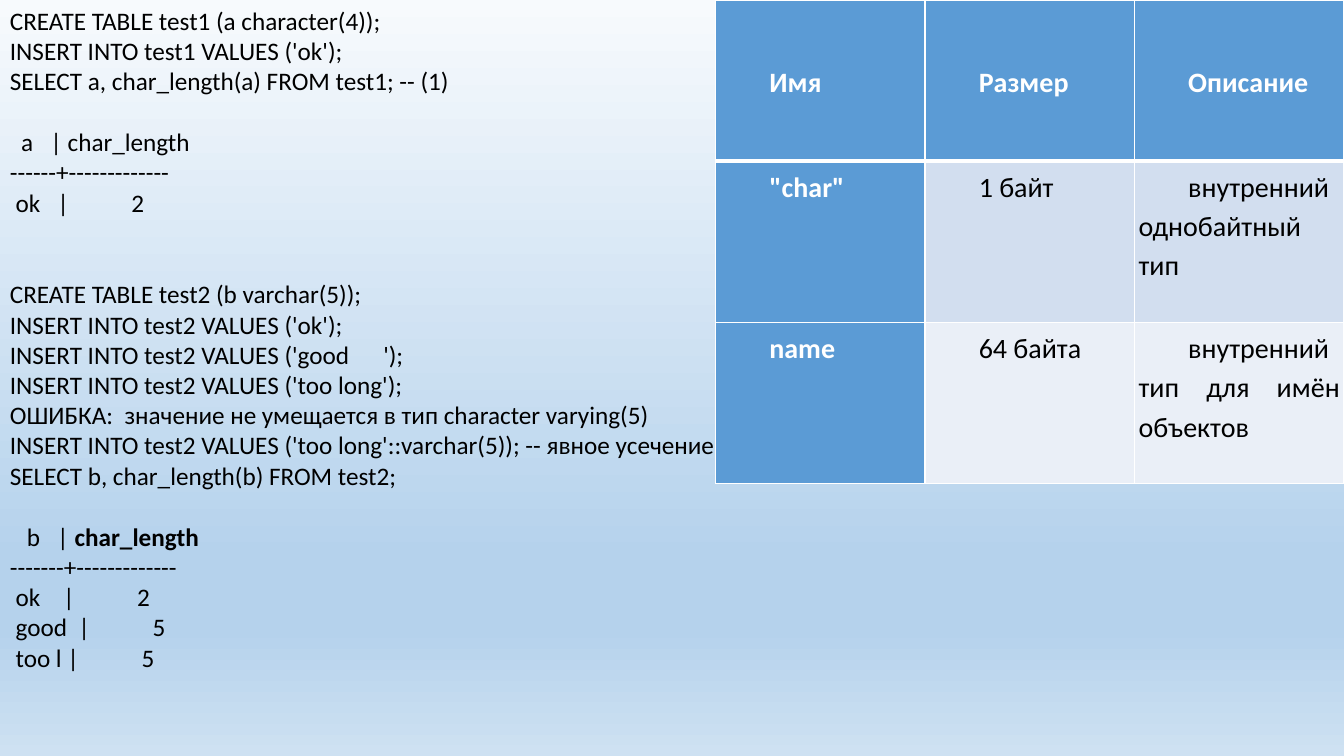
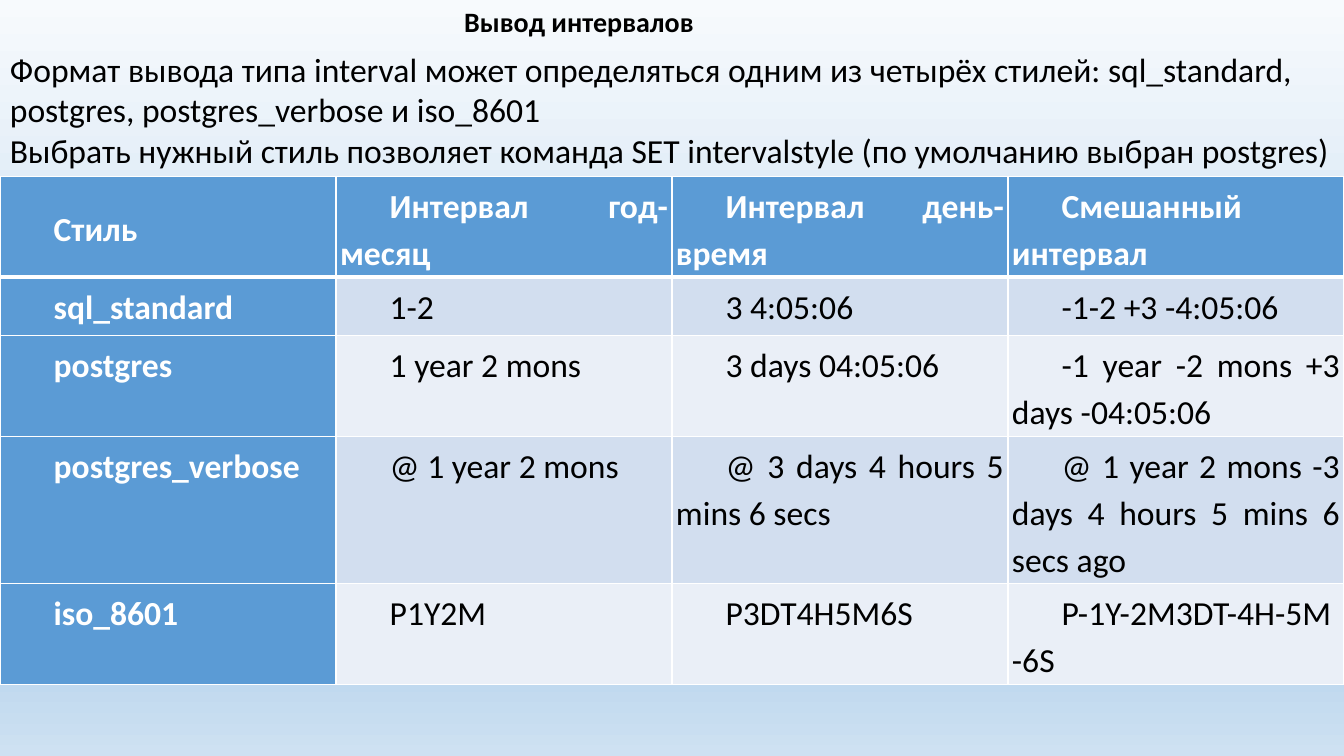
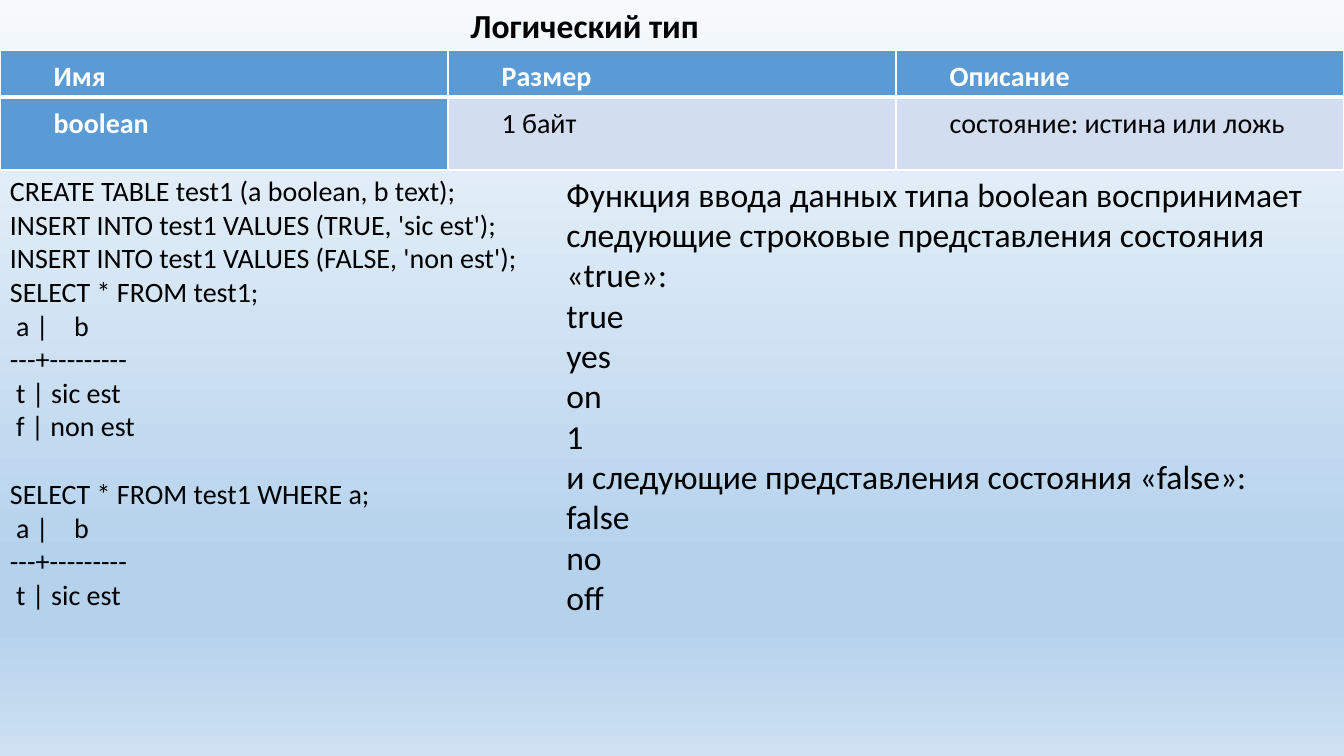
from lxml import etree
from pptx import Presentation
from pptx.dml.color import RGBColor
from pptx.enum.text import MSO_ANCHOR, MSO_AUTO_SIZE, PP_ALIGN
from pptx.oxml.ns import qn
from pptx.util import Pt

# Shared style
SLIDE_WIDTH, SLIDE_HEIGHT = 960, 540
FONT = "Calibri"
LINE_HEIGHT = 1.22
CELL_MARGIN = 2.9
FIRST_LINE_INDENT = 35.45
BLACK = RGBColor(0x00, 0x00, 0x00)
WHITE = RGBColor(0xFF, 0xFF, 0xFF)
HEADER_BLUE = RGBColor(0x5B, 0x9B, 0xD5)
BAND_DARK = RGBColor(0xD2, 0xDE, 0xEF)
BAND_LIGHT = RGBColor(0xEA, 0xEF, 0xF7)
SKY_PALE = RGBColor(0xF7, 0xFA, 0xFD)
SKY_BLUE = RGBColor(0xB5, 0xD2, 0xEC)
SKY_SOFT = RGBColor(0xCE, 0xE1, 0xF2)
SKY_STOPS = [(0, SKY_PALE), (74, SKY_BLUE), (83, SKY_BLUE), (100, SKY_SOFT)]
TOP, MIDDLE = MSO_ANCHOR.TOP, MSO_ANCHOR.MIDDLE
JUSTIFY = PP_ALIGN.JUSTIFY
GROW = MSO_AUTO_SIZE.SHAPE_TO_FIT_TEXT


def add_run(paragraph, text, size=18, color=BLACK, bold=False):
    run = paragraph.add_run()
    run.text = text
    run.font.name = FONT
    run.font.size = Pt(size)
    run.font.bold = bold
    run.font.color.rgb = color


class Deck:
    def __init__(self):
        self.presentation = Presentation()
        self.presentation.slide_width = Pt(SLIDE_WIDTH)
        self.presentation.slide_height = Pt(SLIDE_HEIGHT)
        self.slide = None
        self.paint_background()

    def paint_background(self):
        master = self.presentation.slide_master
        fill = master.background.fill
        fill.gradient()
        fill.gradient_angle = 270
        stops = next(master.element.iter(qn("a:gsLst")))
        for stop in list(stops):
            stops.remove(stop)
        for percent, color in SKY_STOPS:
            stop = etree.SubElement(stops, qn("a:gs"), pos=str(percent * 1000))
            etree.SubElement(stop, qn("a:srgbClr"), val=str(color))

    def new_slide(self):
        blank = self.presentation.slide_layouts[6]
        self.slide = self.presentation.slides.add_slide(blank)

    def text(self, left, top, width, height, text, size=18, bold=False):
        """One paragraph a line; an empty line is a gap, ** marks bold."""
        shape = self.slide.shapes.add_textbox(
            Pt(left), Pt(top), Pt(width), Pt(height))
        frame = shape.text_frame
        frame.word_wrap = True
        frame.auto_size = GROW
        paragraph, gap = None, 0
        for line in text.split("\n"):
            if not line:
                gap += size * LINE_HEIGHT
                continue
            paragraph = frame.add_paragraph() if paragraph else frame.paragraphs[0]
            paragraph.space_before = Pt(round(gap, 2))
            gap = 0
            for index, part in enumerate(line.split("**")):
                if part:
                    add_run(paragraph, part, size=size, bold=bold or index % 2 == 1)

    def table(self, left, top, width, row_heights, rows, size=20):
        columns = len(rows[0])
        table = self.slide.shapes.add_table(
            len(rows), columns, Pt(left), Pt(top), Pt(width),
            Pt(sum(row_heights))).table
        for column in table.columns:
            column.width = Pt(width / columns)
        for row, height in zip(table.rows, row_heights):
            row.height = Pt(height)
        for row_index, values in enumerate(rows):
            for column_index, value in enumerate(values):
                self.cell(table.cell(row_index, column_index), value,
                          row_index, column_index, size)

    def cell(self, cell, value, row_index, column_index, size):
        is_header = row_index == 0 or column_index == 0
        band = BAND_DARK if row_index % 2 else BAND_LIGHT
        self.borders(cell, row_index)
        cell.fill.solid()
        cell.fill.fore_color.rgb = HEADER_BLUE if is_header else band
        cell.vertical_anchor = MIDDLE if row_index == 0 else TOP
        cell.margin_left = cell.margin_right = Pt(CELL_MARGIN)
        cell.margin_top = cell.margin_bottom = Pt(CELL_MARGIN)
        paragraph = cell.text_frame.paragraphs[0]
        paragraph.alignment = JUSTIFY
        paragraph.line_spacing = 1.15
        properties = paragraph._p.get_or_add_pPr()
        properties.set("marL", "0")
        properties.set("indent", str(Pt(FIRST_LINE_INDENT)))
        add_run(paragraph, value, size=size, bold=is_header,
                color=WHITE if is_header else BLACK)

    def borders(self, cell, row_index):
        # The rule under the header row is thicker than the rest
        widths = {"a:lnL": 1, "a:lnR": 1,
                  "a:lnT": 3 if row_index == 1 else 1,
                  "a:lnB": 3 if row_index == 0 else 1}
        properties = cell._tc.get_or_add_tcPr()
        for tag, width in widths.items():
            line = etree.SubElement(properties, qn(tag), w=str(Pt(width)))
            fill = etree.SubElement(line, qn("a:solidFill"))
            etree.SubElement(fill, qn("a:srgbClr"), val=str(WHITE))


# Content
CHARACTER_CODE = """CREATE TABLE test1 (a character(4));
INSERT INTO test1 VALUES ('ok');
SELECT a, char_length(a) FROM test1; -- (1)

  a   | char_length
------+-------------
 ok   |           2


CREATE TABLE test2 (b varchar(5));
INSERT INTO test2 VALUES ('ok');
INSERT INTO test2 VALUES ('good      ');
INSERT INTO test2 VALUES ('too long');
ОШИБКА:  значение не умещается в тип character varying(5)
INSERT INTO test2 VALUES ('too long'::varchar(5)); -- явное усечение
SELECT b, char_length(b) FROM test2;

   b   | **char_length**
-------+-------------
 ok    |           2
 good  |           5
 too l |           5"""

CHARACTER_TYPES = [
    ["Имя", "Размер", "Описание"],
    ['"char"', "1 байт", "внутренний однобайтный тип"],
    ["name", "64 байта", "внутренний тип для имён объектов"],
]

INTERVAL_TEXT = """Формат вывода типа interval может определяться одним из четырёх стилей: sql_standard, postgres, postgres_verbose и iso_8601
Выбрать нужный стиль позволяет команда SET intervalstyle (по умолчанию выбран postgres)"""

INTERVAL_STYLES = [
    ["Стиль", "Интервал год-месяц", "Интервал день-время", "Смешанный интервал"],
    ["sql_standard", "1-2", "3 4:05:06", "-1-2 +3 -4:05:06"],
    ["postgres", "1 year 2 mons", "3 days 04:05:06",
     "-1 year -2 mons +3 days -04:05:06"],
    ["postgres_verbose", "@ 1 year 2 mons", "@ 3 days 4 hours 5 mins 6 secs",
     "@ 1 year 2 mons -3 days 4 hours 5 mins 6 secs ago"],
    ["iso_8601", "P1Y2M", "P3DT4H5M6S", "P-1Y-2M3DT-4H-5M-6S"],
]

BOOLEAN_TYPE = [
    ["Имя", "Размер", "Описание"],
    ["boolean", "1 байт", "состояние: истина или ложь"],
]

BOOLEAN_CODE = """CREATE TABLE test1 (a boolean, b text);
INSERT INTO test1 VALUES (TRUE, 'sic est');
INSERT INTO test1 VALUES (FALSE, 'non est');
SELECT * FROM test1;
 a |    b
---+---------
 t | sic est
 f | non est

SELECT * FROM test1 WHERE a;
 a |    b
---+---------
 t | sic est"""

BOOLEAN_TEXT = """Функция ввода данных типа boolean воспринимает следующие строковые представления состояния «true»:
true
yes
on
1
и следующие представления состояния «false»:
false
no
off"""


def main():
    deck = Deck()

    # Character types
    deck.new_slide()
    deck.text(0, 0, 532, 487.5, CHARACTER_CODE)
    deck.table(511.2, 0, 448.8, [115.2] * 3, CHARACTER_TYPES)

    # Interval output
    deck.new_slide()
    deck.text(324.5, 0, 237, 31.5, "Вывод интервалов", size=20, bold=True)
    deck.text(0, 31.5, SLIDE_WIDTH, 94.5, INTERVAL_TEXT, size=24)
    deck.table(0, 126, SLIDE_WIDTH, [72, 41.5, 72, 105, 72],
               INTERVAL_STYLES, size=24)

    # Boolean type
    deck.new_slide()
    deck.text(329, 0, 221, 36, "Логический тип", size=24, bold=True)
    deck.table(0, 36, SLIDE_WIDTH, [32.5, 52], BOOLEAN_TYPE)
    deck.text(0, 120.5, 406, 322.5, BOOLEAN_CODE, size=20)
    deck.text(397.5, 120.5, 562.5, 327, BOOLEAN_TEXT, size=24)

    deck.presentation.save("out.pptx")


if __name__ == "__main__":
    main()
